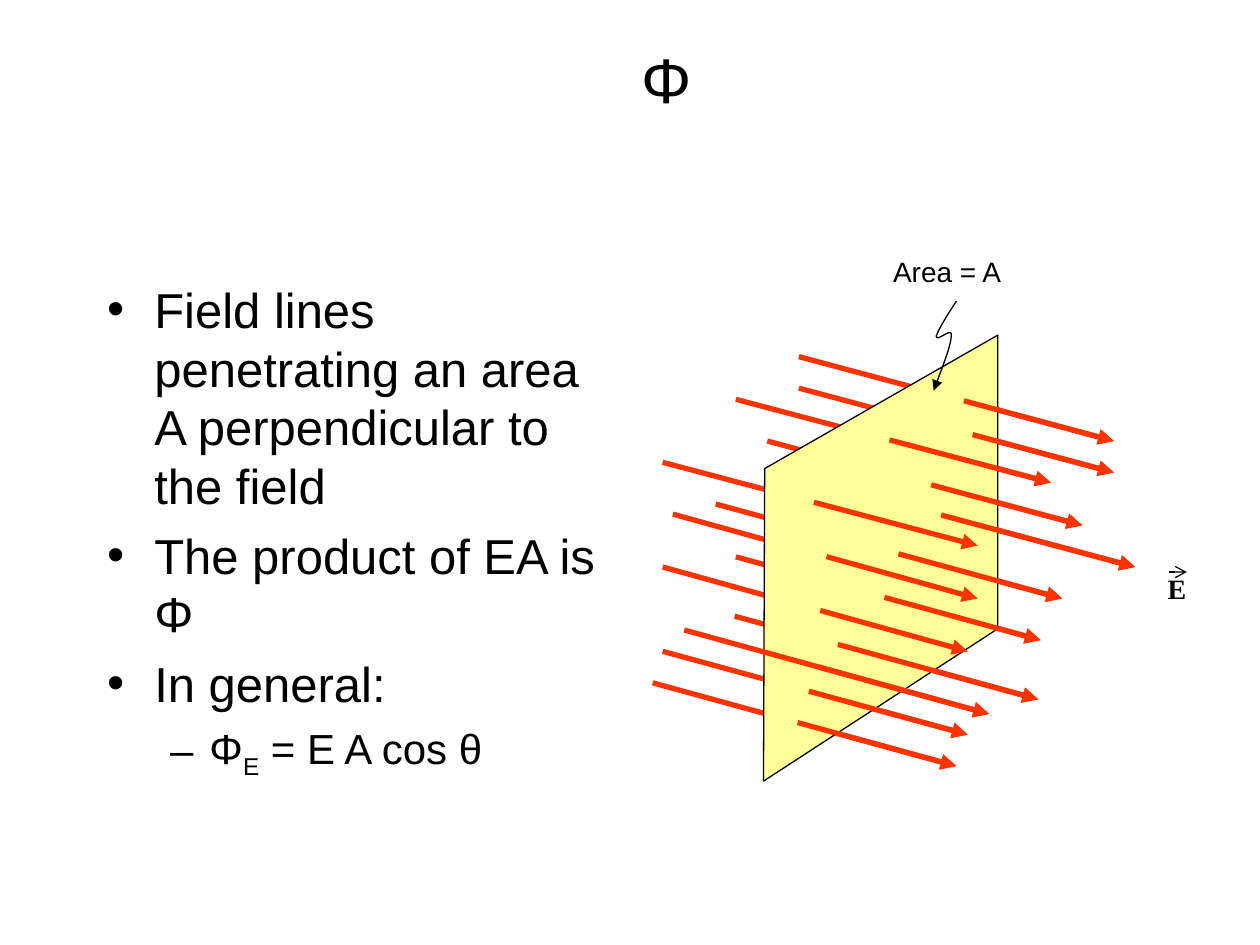
from dataclasses import dataclass

from lxml import etree
from pptx import Presentation
from pptx import util as u
from pptx.dml.color import RGBColor
from pptx.enum import shapes, text
from pptx.oxml import ns


@dataclass(frozen=True)
class Theme:
    ink: str = "000000"
    field: str = "FF3300"
    plane: str = "FFFF99"
    sans: str = "Arial"
    serif: str = "Times New Roman"
    title_size: float = 36
    body_size: float = 28
    sub_size: float = 24
    label_size: float = 16
    thin: float = 0.75
    thick: float = 3
    gap: float = 6


def add_child(parent, tag, **attributes):
    return etree.SubElement(parent, ns.qn(tag), **attributes)


class SlideBuilder:
    def __init__(self, page, theme):
        self.page = page
        self.theme = theme

    def place(self, box, left, top, width, height):
        box.left, box.top = u.Pt(left), u.Pt(top)
        box.width, box.height = u.Pt(width), u.Pt(height)

    def span(self, para, words, size, font=None, bold=False, baseline=0):
        span = para.add_run()
        span.text = words
        span.font.size = u.Pt(size)
        span.font.name = font or self.theme.sans
        span.font.bold = bold
        span.font.color.rgb = RGBColor.from_string(self.theme.ink)
        if baseline:
            span.font._element.set("baseline", str(baseline * 1000))

    def title(self, words, *frame):
        box = self.page.shapes.title
        self.place(box, *frame)
        box.text_frame.vertical_anchor = text.MSO_ANCHOR.MIDDLE
        para = box.text_frame.paragraphs[0]
        para.alignment = text.PP_ALIGN.CENTER
        self.span(para, words, self.theme.title_size)

    def bullets(self, items, *frame):
        """Each item is a level and its (words, baseline) spans."""
        box = self.page.placeholders[1]
        self.place(box, *frame)
        box.text_frame.auto_size = text.MSO_AUTO_SIZE.NONE
        styles = [("•", 27, -27, self.theme.body_size),
                  ("–", 58.5, -22.5, self.theme.sub_size)]
        for index, (level, spans) in enumerate(items):
            mark, margin, indent, size = styles[level]
            para = box.text_frame.paragraphs[0] if index == 0 else box.text_frame.add_paragraph()
            para.level = level
            settings = para._p.get_or_add_pPr()
            settings.set("marL", str(u.Pt(margin)))
            settings.set("indent", str(u.Pt(indent)))
            add_child(settings, "a:buChar", char=mark)
            para.space_before = u.Pt(self.theme.gap if index else 0)
            for words, baseline in spans:
                self.span(para, words, size, baseline=baseline)

    def label(self, words, frame, font=None, bold=False):
        box = self.page.shapes.add_textbox(*map(u.Pt, frame))
        box.text_frame.word_wrap = False
        box.text_frame.auto_size = text.MSO_AUTO_SIZE.SHAPE_TO_FIT_TEXT
        self.span(box.text_frame.paragraphs[0], words, self.theme.label_size, font, bold)

    def outline(self, item, color, width, head=None):
        item.line.color.rgb = RGBColor.from_string(color)
        item.line.width = u.Pt(width)
        if head:
            add_child(item.line._get_or_add_ln(), "a:tailEnd", type=head)

    def arrow(self, start, end, color, width, head="triangle"):
        line = self.page.shapes.add_connector(
            shapes.MSO_CONNECTOR.STRAIGHT, *map(u.Pt, (*start, *end)))
        self.outline(line, color, width, head)
        add_child(line._element.spPr, "a:effectLst")

    def freeform(self, points, close):
        corners = [(u.Pt(x), u.Pt(y)) for x, y in points]
        builder = self.page.shapes.build_freeform(*corners[0])
        builder.add_line_segments(corners[1:], close=close)
        shape = builder.convert_to_shape()
        shape.shadow.inherit = False
        return shape

    def polygon(self, points, fill):
        shape = self.freeform(points, close=True)
        shape.fill.solid()
        shape.fill.fore_color.rgb = RGBColor.from_string(fill)
        self.outline(shape, self.theme.ink, self.theme.thin)

    def curve(self, points):
        """Draw cubic curves: a start point, then three points for each curve."""
        shape = self.freeform(points, close=False)
        shape.fill.background()
        self.outline(shape, self.theme.ink, self.theme.thin, "triangle")
        segments = list(shape._element.iter(ns.qn("a:lnTo")))
        track = segments[0].getparent()
        for first in range(0, len(segments), 3):
            cubic = add_child(track, "a:cubicBezTo")
            for segment in segments[first:first + 3]:
                cubic.append(segment[0])
                track.remove(segment)


# Field lines: tail, tip, and the x at which each leaves the plane
FIELD_LINES = [
    ((373, 390.2), (546.5, 437.8), 455.8),
    ((378.7, 372.2), (553, 419.8), 462.2),
    ((419.8, 352.1), (593.3, 399.6), 478.8),
    ((378.7, 324), (553, 372.2), 468.7),
    ((420.5, 318.2), (594.7, 365.8), 505.4),
    ((384.5, 293.8), (558.7, 342), 472.3),
    ((409, 288), (607, 342), 513.4),
    ((378.7, 264.2), (558.7, 311.8), 465.1),
    ((438.5, 252), (618.5, 300.2), 532.1),
    ((468.7, 275.8), (648.7, 324), 537.8),
    ((420.5, 228.2), (600.5, 275.8), 508.3),
    ((456.5, 221.8), (636.5, 270), 555.8),
    ((456.5, 203.8), (636.5, 252), 550.8),
]
FRONT_LINE = ((391, 360), (565.2, 408), 467.3)
PLANE = [(436.3, 446.4), (437, 267.8), (570.2, 191.5), (570.2, 359.3)]
POINTER = [(546.5, 172.1),
           (540.7, 180.7), (535.7, 189.4), (535, 192.2),
           (535, 195.8), (544.3, 186.5), (543.6, 191.5),
           (543.6, 196.6), (538.6, 209.5), (533.5, 223.2)]
BULLETS = [
    (0, [("Field lines penetrating an area A perpendicular to the field", 0)]),
    (0, [("The product of EA is Φ", 0)]),
    (0, [("In general:", 0)]),
    (1, [("Φ", 0), ("E", -25), (" = E A cos θ", 0)]),
]


def point_at(tail, tip, x):
    share = (x - tail[0]) / (tip[0] - tail[0])
    return x, tail[1] + share * (tip[1] - tail[1])


def main():
    deck = Presentation()
    deck.slide_width, deck.slide_height = u.Pt(720), u.Pt(540)
    theme = Theme()
    slide = SlideBuilder(deck.slides.add_slide(deck.slide_layouts[1]), theme)

    # Title and list
    slide.title("Φ", 126, 0, 510, 90)
    slide.bullets(BULLETS, 54, 156, 300, 336)

    # Field lines behind the plane, then the plane
    for tail, tip, _ in FIELD_LINES:
        slide.arrow(tail, tip, theme.field, theme.thick)
    slide.polygon(PLANE, theme.plane)

    # Labels, with the vector mark above E
    slide.label("E", (660.2, 323.3, 25.2, 26.6), theme.serif, bold=True)
    slide.arrow((668.2, 326.9), (678.2, 326.9), theme.ink, theme.thin, "arrow")
    slide.label("Area = A", (503.3, 141.8, 77, 26.6))

    # Field lines in front of the plane
    slide.arrow(*FRONT_LINE[:2], theme.field, theme.thick)
    for tail, tip, exit_x in [*FIELD_LINES, FRONT_LINE]:
        slide.arrow(point_at(tail, tip, exit_x), tip, theme.field, theme.thick)

    # Pointer from the area label
    slide.curve(POINTER)

    deck.save("out.pptx")


if __name__ == "__main__":
    main()
